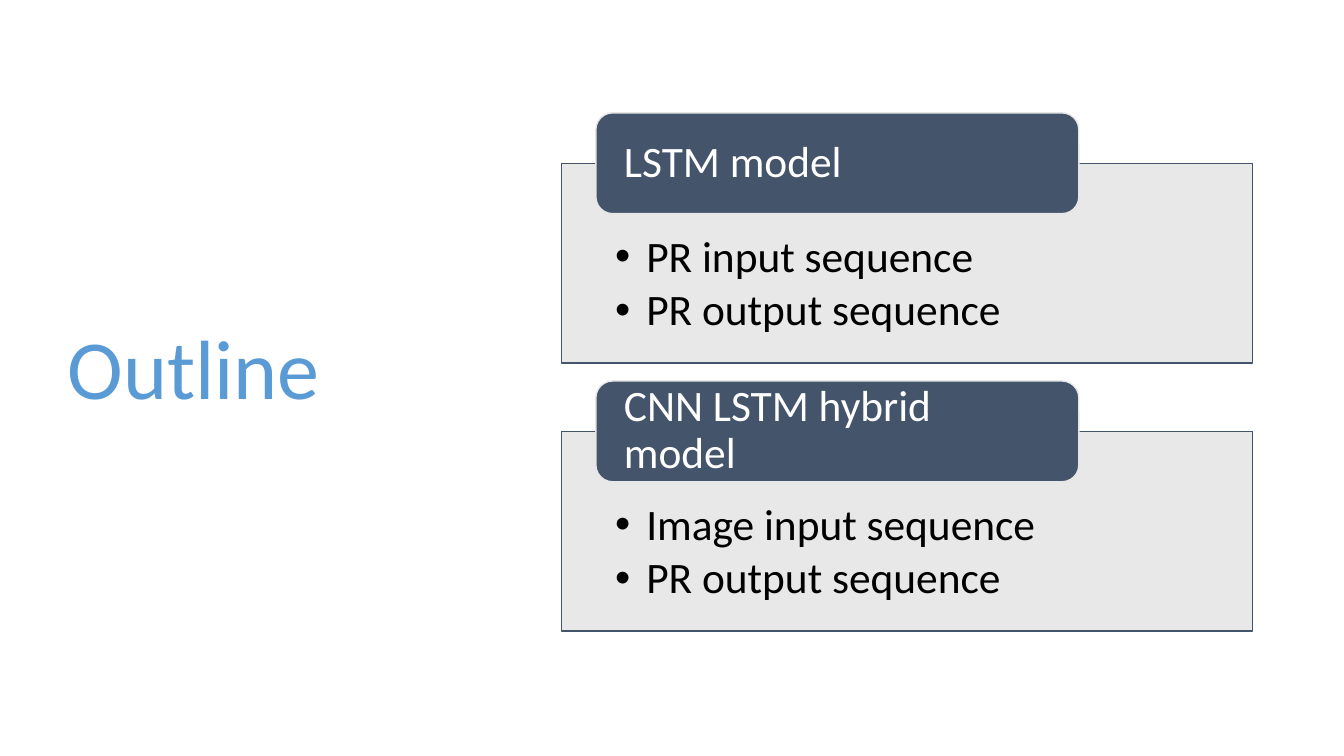
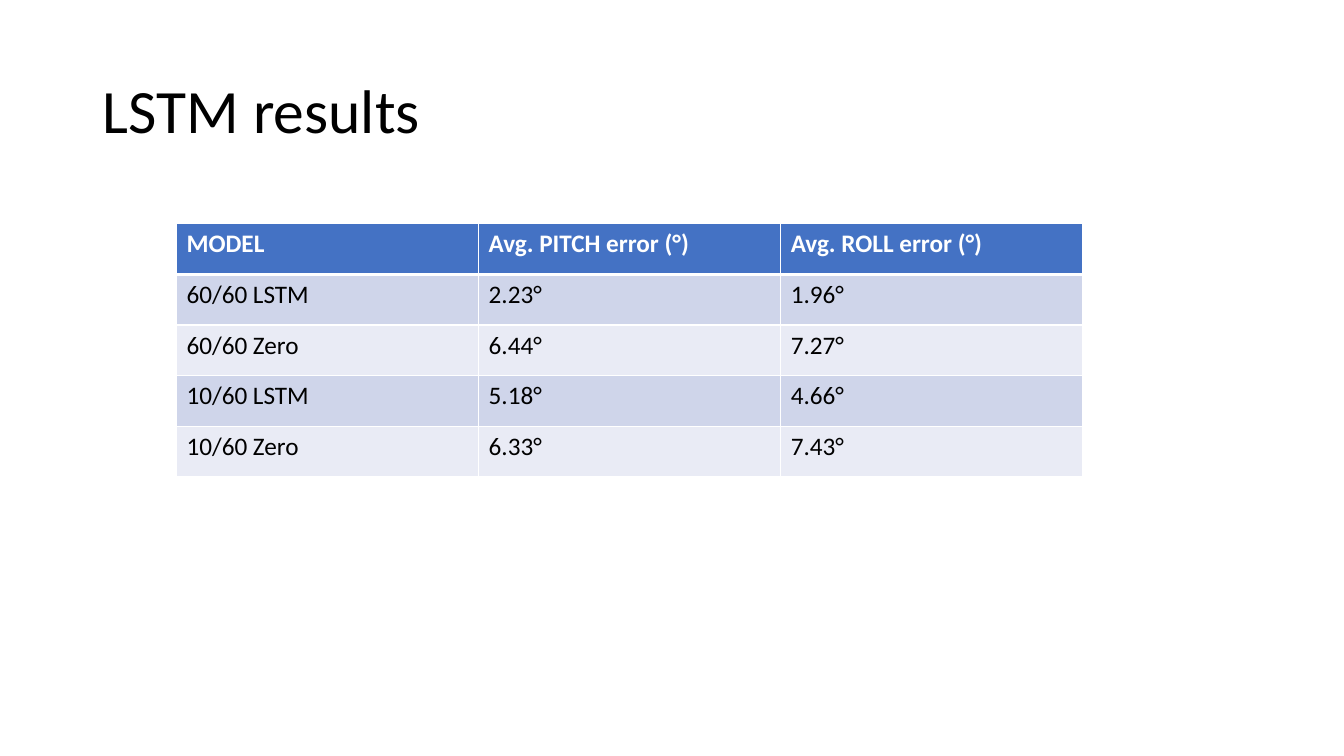
from pptx import Presentation
from pptx.dml.color import RGBColor
from pptx.enum.shapes import MSO_SHAPE
from pptx.enum.text import MSO_ANCHOR, MSO_AUTO_SIZE, PP_ALIGN
from pptx.oxml.ns import qn
from pptx.util import Inches, Pt
from lxml.etree import SubElement

FONT = "Calibri"
WHITE, BLACK, BLUE = "FFFFFF", "000000", "5B9BD5"
SLATE, GREY = "44546A", "E7E6E6"
HEAD, BANDS = "4472C4", ("CFD5EA", "E9EBF5")

TOPICS = [
    ("LSTM model", ["PR input sequence", "PR output sequence"]),
    ("CNN LSTM hybrid model", ["Image input sequence", "PR output sequence"]),
]
RESULTS = [
    ("MODEL", "Avg. PITCH error (°)", "Avg. ROLL error (°)"),
    ("60/60 LSTM", "2.23°", "1.96°"),
    ("60/60 Zero", "6.44°", "7.27°"),
    ("10/60 LSTM", "5.18°", "4.66°"),
    ("10/60 Zero", "6.33°", "7.43°"),
]


def paint(target, color):
    """Give a fill a solid colour."""
    target.solid()
    target.fore_color.rgb = RGBColor.from_string(color)


def apply(target, values):
    """Set each named attribute of the target."""
    for name, value in values.items():
        setattr(target, name, value)


def write(frame, lines, size, color, bold=False, **form):
    """Fill a text frame with left-aligned paragraphs of one style."""
    frame.text = "\n".join(lines)
    for par in frame.paragraphs:
        apply(par, {"alignment": PP_ALIGN.LEFT, **form})
        apply(par.runs[0].font, {"name": FONT, "size": Pt(size), "bold": bold})
        par.runs[0].font.color.rgb = RGBColor.from_string(color)


def add_page(deck, title, box, size, color):
    """Add a slide with its title placed and styled."""
    page = deck.slides.add_slide(deck.slide_layouts[5])
    holder = page.shapes.title
    apply(holder, dict(zip(("left", "top", "width", "height"), map(Inches, box))))
    apply(holder.text_frame, {"vertical_anchor": MSO_ANCHOR.MIDDLE,
                              "word_wrap": True,
                              "auto_size": MSO_AUTO_SIZE.NONE})
    write(holder.text_frame, [title], size, color, line_spacing=0.9)
    return page


def add_box(page, kind, box, fill, line, anchor, insets):
    """Add a flat shape, ready for text."""
    shape = page.shapes.add_shape(kind, *map(Inches, box))
    shape.shadow.inherit = False
    paint(shape.fill, fill)
    paint(shape.line.fill, line)
    shape.line.width = Pt(1)
    sides = ("margin_left", "margin_top", "margin_right", "margin_bottom")
    apply(shape.text_frame, {"word_wrap": True, "vertical_anchor": anchor,
                             **dict(zip(sides, map(Inches, insets)))})
    return shape


def add_bullets(frame):
    """Give every paragraph a hanging round bullet."""
    for par in frame.paragraphs:
        props = par._p.get_or_add_pPr()
        props.set("marL", str(Inches(0.31)))
        props.set("indent", str(-Inches(0.31)))
        SubElement(props, qn("a:buFont")).set("typeface", "Arial")
        SubElement(props, qn("a:buChar")).set("char", "•")


def add_topic(page, top, name, points):
    """Add a panel of points with a name tab over its upper edge."""
    panel = add_box(page, MSO_SHAPE.RECTANGLE, (5.57, top, 6.85, 1.98),
                    GREY, SLATE, MSO_ANCHOR.TOP, (0.53, 0.71, 0.53, 0.24))
    tint = panel.fill._xPr.find(qn("a:solidFill"))[0]
    SubElement(tint, qn("a:alpha")).set("val", "90000")
    write(panel.text_frame, points, 31, BLACK,
          line_spacing=0.9, space_after=Pt(4.65))
    add_bullets(panel.text_frame)
    tab = add_box(page, MSO_SHAPE.ROUNDED_RECTANGLE, (5.91, top - 0.5, 4.79, 1),
                  SLATE, GREY, MSO_ANCHOR.MIDDLE, (0.23, 0.05, 0.23, 0.05))
    write(tab.text_frame, [name], 31, WHITE, line_spacing=0.9)


def add_edges(cell, widths):
    """Draw white cell borders, given a width per side."""
    props = cell._tc.get_or_add_tcPr()
    for side, width in widths.items():
        edge = SubElement(props, qn("a:ln" + side), w=str(Pt(width)))
        SubElement(SubElement(edge, qn("a:solidFill")),
                   qn("a:srgbClr")).set("val", WHITE)


def add_grid(page, rows, box):
    """Add a banded table with a bold head row."""
    grid = page.shapes.add_table(len(rows), len(rows[0]),
                                 *map(Inches, box)).table
    for i, row in enumerate(rows):
        for j, text in enumerate(row):
            cell = grid.cell(i, j)
            add_edges(cell, {"L": 1, "R": 1, "T": 3 if i == 1 else 1,
                             "B": 3 if i == 0 else 1})
            paint(cell.fill, BANDS[(i - 1) % 2] if i else HEAD)
            write(cell.text_frame, [text], 18, BLACK if i else WHITE, i == 0)


def main():
    """Build and save the deck."""
    deck = Presentation()
    apply(deck, {"slide_width": Inches(13.33), "slide_height": Inches(7.5)})
    page = add_page(deck, "Outline", (0.57, 0.68, 4.16, 6.02), 60, BLUE)
    for i, (name, points) in enumerate(TOPICS):
        add_topic(page, 1.62 + 2.66 * i, name, points)
    page = add_page(deck, "LSTM results", (0.92, 0.4, 11.5, 1.45), 44, BLACK)
    add_grid(page, RESULTS, (1.75, 2.22, 8.99, 2.51))
    deck.save("out.pptx")


main()
